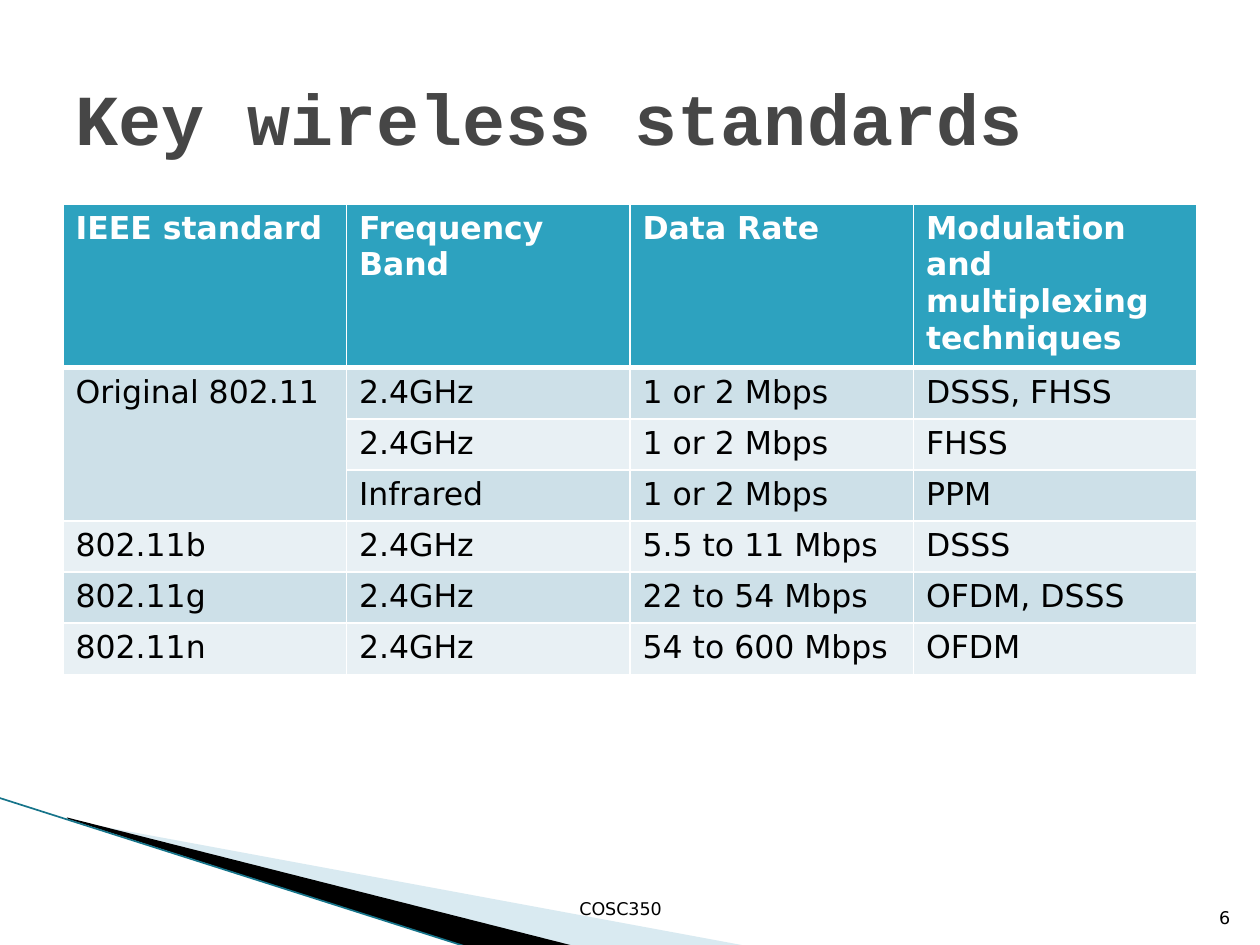
from lxml import etree
from pptx import Presentation
from pptx import util as u
from pptx.dml.color import RGBColor
from pptx.enum import shapes, text
from pptx.oxml.ns import qn

BODY_FONT = "DejaVu Sans"
BANDS = ("E8F0F4", "CDE0E8")
STANDARDS = [
    ("IEEE standard", "Frequency Band", "Data Rate", "Modulation and multiplexing techniques"),
    ("Original 802.11", "2.4GHz", "1 or 2 Mbps", "DSSS, FHSS"),
    ("", "2.4GHz", "1 or 2 Mbps", "FHSS"),
    ("", "Infrared", "1 or 2 Mbps", "PPM"),
    ("802.11b", "2.4GHz", "5.5 to 11 Mbps", "DSSS"),
    ("802.11g", "2.4GHz", "22 to 54 Mbps", "OFDM, DSSS"),
    ("802.11n", "2.4GHz", "54 to 600 Mbps", "OFDM"),
]


def color(value):
    """Return the colour for a hex string."""
    return RGBColor.from_string(value)


def style(paragraph, size, fill, name=BODY_FONT, bold=False):
    """Set the font of a whole paragraph."""
    font = paragraph.font
    font.size, font.name, font.bold = u.Pt(size), name, bold
    font.color.rgb = color(fill)


def add_wedge(slide, points, fill, opacity=100):
    """Add a closed, unlined polygon through points given in centimetres."""
    (start, *rest) = [(u.Cm(x), u.Cm(y)) for x, y in points]
    builder = slide.shapes.build_freeform(*start)
    builder.add_line_segments(rest, close=True)
    shape = builder.convert_to_shape()
    shape.shadow.inherit = False
    shape.fill.solid()
    shape.fill.fore_color.rgb = color(fill)
    shape.line.fill.background()
    if opacity < 100:
        solid = shape.fill._xPr.find(qn("a:solidFill"))
        etree.SubElement(solid[0], qn("a:alpha"), val=str(opacity * 1000))


def add_line(slide, start, end, stroke, width):
    """Add a straight line without a shadow."""
    ends = [u.Cm(value) for value in (*start, *end)]
    line = slide.shapes.add_connector(shapes.MSO_CONNECTOR.STRAIGHT, *ends)
    line.line.color.rgb = color(stroke)
    line.line.width = u.Pt(width)
    etree.SubElement(line._element.spPr, qn("a:effectLst"))


def add_text(slide, box, wording, size, fill, anchor=text.MSO_ANCHOR.TOP,
             align=text.PP_ALIGN.LEFT, wrap=True, **font):
    """Add a one-paragraph text box."""
    frame = slide.shapes.add_textbox(*[u.Cm(value) for value in box]).text_frame
    frame.word_wrap = wrap
    frame.vertical_anchor = anchor
    paragraph = frame.paragraphs[0]
    paragraph.text = wording
    paragraph.alignment = align
    style(paragraph, size, fill, **font)


def set_borders(cell, widths):
    """Give a cell white borders with the widths listed by side."""
    properties = cell._tc.get_or_add_tcPr()
    for side, width in widths.items():
        line = etree.SubElement(properties, qn(f"a:ln{side}"), w=str(u.Pt(width)))
        solid = etree.SubElement(line, qn("a:solidFill"))
        etree.SubElement(solid, qn("a:srgbClr"), val="FFFFFF")


def add_standards_table(slide):
    """Add the table of wireless standards with banded rows."""
    box = [u.Cm(value) for value in (1.27, 4.11, 22.86, 7.21)]
    table = slide.shapes.add_table(len(STANDARDS), len(STANDARDS[0]), *box).table
    for row, values in enumerate(STANDARDS):
        table.rows[row].height = u.Cm(1.03)
        header = row == 0
        for column, value in enumerate(values):
            cell = table.cell(row, column)
            set_borders(cell, {"L": 1, "R": 1, "T": 3 if row == 1 else 1, "B": 3 if header else 1})
            cell.fill.solid()
            cell.fill.fore_color.rgb = color("2DA2BF" if header else BANDS[row % 2])
            paragraph = cell.text_frame.paragraphs[0]
            paragraph.text = value
            style(paragraph, 18, "FFFFFF" if header else "000000", bold=header)
    table.cell(1, 0).merge(table.cell(3, 0))


def main():
    """Build and save the slide."""
    presentation = Presentation()
    presentation.slide_width, presentation.slide_height = u.Cm(25.4), u.Cm(19.05)
    slide = presentation.slides.add_slide(presentation.slide_layouts[6])
    add_wedge(slide, [(1.4, 16.54), (15.11, 19.08), (11.58, 19.08), (1.4, 16.51)], "A0CBDC", 40)
    add_wedge(slide, [(1.35, 16.48), (11.61, 19.08), (9.45, 19.1), (1.37, 16.51)], "000000")
    add_line(slide, (-0.03, 16.08), (9.45, 19.1), "16748A", 0.95)
    add_text(slide, (11.43, 17.98, 2.21, 0.69), "COSC350", 10, "000000", wrap=False)
    add_standards_table(slide)
    add_text(slide, (24.03, 17.81, 1.02, 1.02), "6", 10, "000000",
             text.MSO_ANCHOR.BOTTOM, text.PP_ALIGN.RIGHT)
    add_text(slide, (1.27, 0.76, 22.86, 3.18), "Key wireless standards", 41, "464646",
             text.MSO_ANCHOR.MIDDLE, name="Courier New", bold=True)
    presentation.save("out.pptx")


if __name__ == "__main__":
    main()
